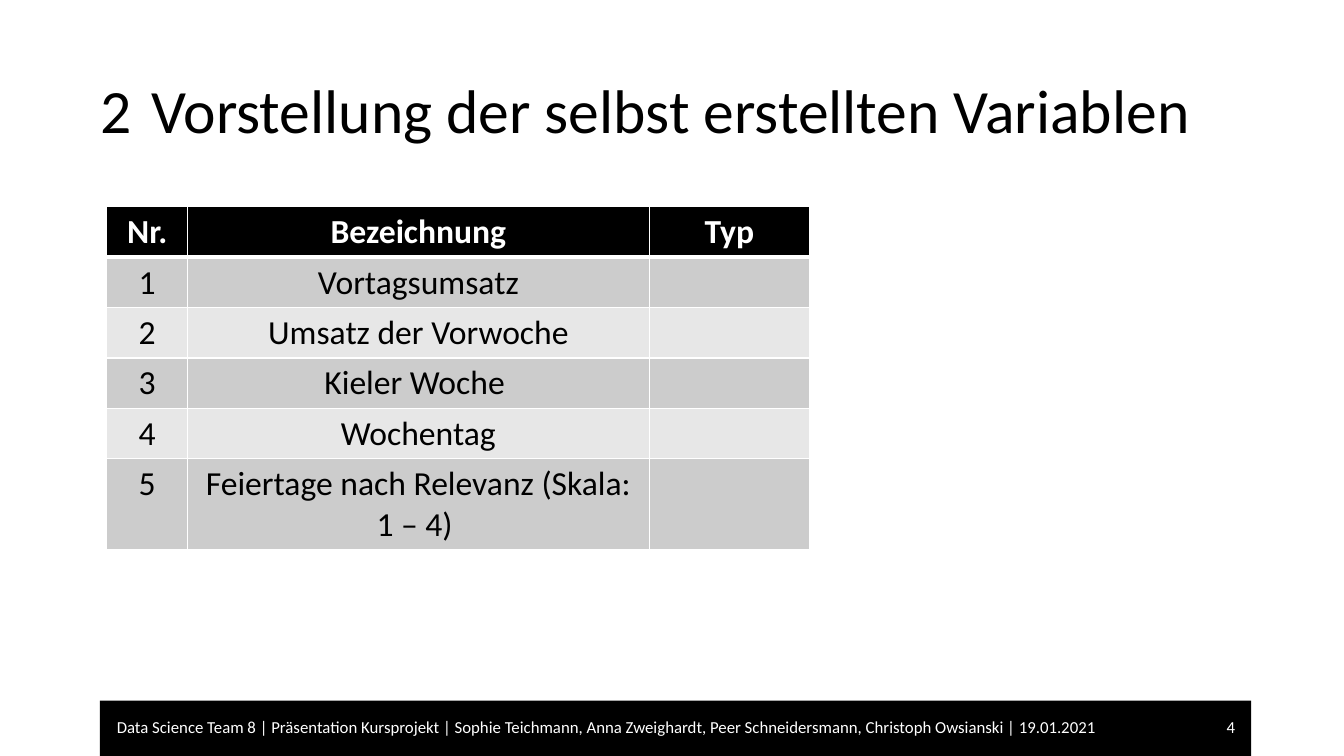
import pptx
import pptx.util
import pptx.dml.color
import pptx.enum.shapes
import pptx.enum.text
import pptx.oxml
import pptx.oxml.ns

ALIGN = pptx.enum.text.PP_ALIGN
MIDDLE = pptx.enum.text.MSO_ANCHOR.MIDDLE
PX = 9144  # EMU in one px, 100 px to the inch


def px(*nums):
    return [pptx.util.Emu(num * PX) for num in nums]


def color(code):
    return pptx.dml.color.RGBColor.from_string(code)


class Deck:
    font = "Calibri"
    black, white = "000000", "FFFFFF"
    bands = ("CCCCCC", "E7E7E7")

    def __init__(self, wide, high):
        self.prs = pptx.Presentation()
        self.prs.slide_width, self.prs.slide_height = px(wide, high)
        self.slide = self.prs.slides.add_slide(self.prs.slide_layouts[5])

    def put_text(self, frame, text, size, tint, align, bold=False):
        para = frame.paragraphs[0]
        para.text = text
        para.alignment = align
        style = {"name": self.font, "size": pptx.util.Pt(size), "bold": bold}
        for target in [para] + list(para.runs):
            for key, value in style.items():
                setattr(target.font, key, value)
            target.font.color.rgb = color(tint)
        return para

    def title(self, text, box):
        shape = self.slide.shapes.title
        for key, value in zip(("left", "top", "width", "height"), px(*box)):
            setattr(shape, key, value)
        frame = shape.text_frame
        form = {"word_wrap": True, "vertical_anchor": MIDDLE,
                "auto_size": pptx.enum.text.MSO_AUTO_SIZE.NONE,
                "margin_right": px(20)[0]}
        for key, value in form.items():
            setattr(frame, key, value)
        para = self.put_text(frame, text, 44, self.black, ALIGN.LEFT)
        para.line_spacing = 0.9

    def bar(self, box, fill):
        kind = pptx.enum.shapes.MSO_SHAPE.RECTANGLE
        shape = self.slide.shapes.add_shape(kind, *px(*box))
        shape.shadow.inherit = False
        shape.fill.solid()
        shape.fill.fore_color.rgb = color(fill)
        shape.line.fill.background()

    def label(self, text, box, align):
        frame = self.slide.shapes.add_textbox(*px(*box)).text_frame
        frame.word_wrap = True
        frame.vertical_anchor = MIDDLE
        self.put_text(frame, text, 12, self.white, align)

    def edge(self, cell, sides):
        props = cell._tc.get_or_add_tcPr()
        for spot, (side, width) in enumerate(sides.items()):
            line = pptx.oxml.parse_xml(
                f'<a:ln{side} {pptx.oxml.ns.nsdecls("a")} w="{pptx.util.Pt(width)}">'
                f'<a:solidFill><a:srgbClr val="{self.white}"/></a:solidFill>'
                f'</a:ln{side}>')
            props.insert(spot, line)

    def table(self, rows, left, top, cols, high):
        box = px(left, top, sum(cols), high * len(rows))
        grid = self.slide.shapes.add_table(len(rows), len(cols), *box).table
        for col, wide in zip(grid.columns, px(*cols)):
            col.width = wide
        for r, row in enumerate(rows):
            head = r == 0
            for c, text in enumerate(row):
                cell = grid.cell(r, c)
                cell.fill.solid()
                fill = self.black if head else self.bands[(r - 1) % 2]
                cell.fill.fore_color.rgb = color(fill)
                tint = self.white if head else self.black
                self.put_text(cell.text_frame, text, 24, tint, ALIGN.CENTER, head)
                self.edge(cell, {"L": 1, "R": 1, "T": 3 if r == 1 else 1,
                                 "B": 3 if head else 1})


def main():
    deck = Deck(1333, 750)

    # Footer
    deck.bar((99, 695, 1142, 55), deck.black)
    deck.label("Data Science Team 8 | Präsentation Kursprojekt | Sophie Teichmann, "
               "Anna Zweighardt, Peer Schneidersmann, Christoph Owsianski | 19.01.2021",
               (106, 709, 1028, 24), ALIGN.JUSTIFY)
    deck.label("4", (1168, 709, 67, 24), ALIGN.RIGHT)

    # Title
    deck.title("2\tVorstellung der selbst erstellten Variablen", (90, 40, 1150, 145))

    # Table of variables
    names = ("Vortagsumsatz", "Umsatz der Vorwoche", "Kieler Woche ", "Wochentag",
             "Feiertage nach Relevanz (Skala: 1 – 4) ")
    rows = [("Nr.", "Bezeichnung", "Typ")]
    rows += [(str(num), name, "") for num, name in enumerate(names, 1)]
    deck.table(rows, 106, 205, (80, 458, 159), 41)

    deck.prs.save("out.pptx")


if __name__ == "__main__":
    main()
